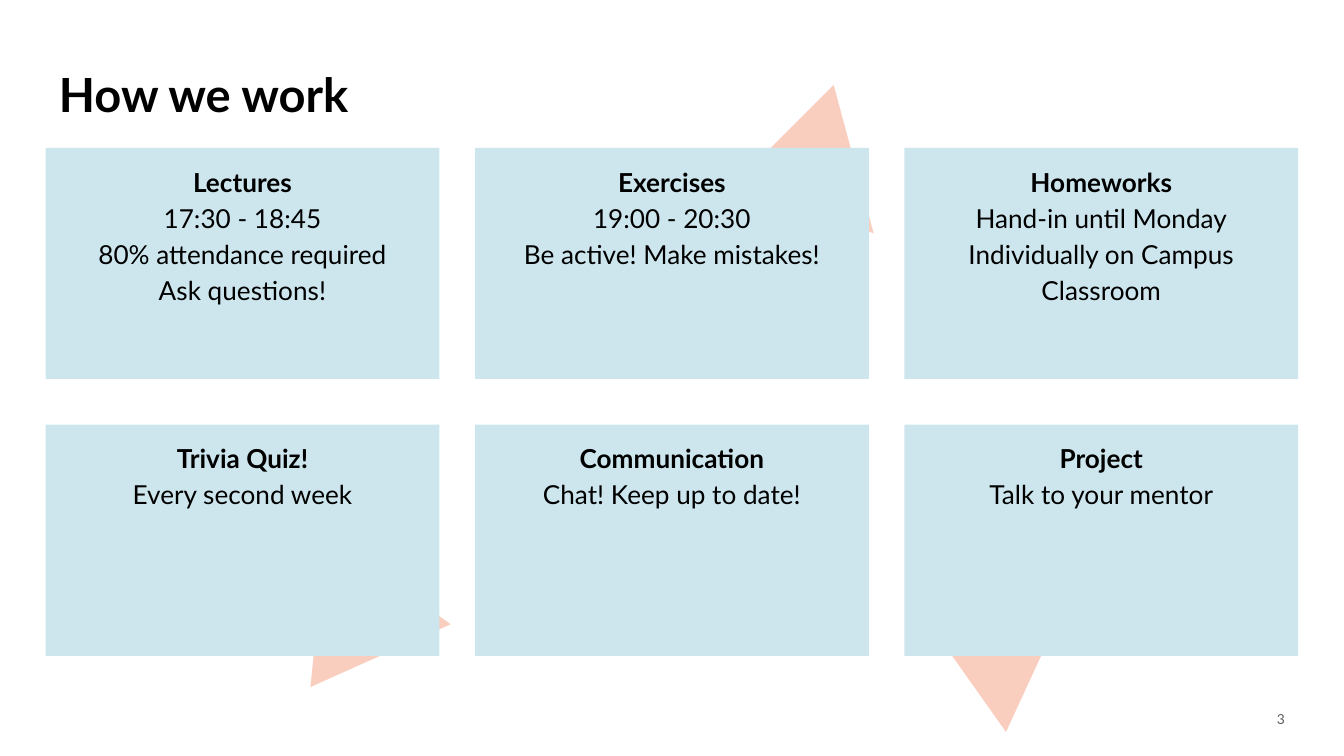
from dataclasses import dataclass

from pptx import Presentation
from pptx.dml.color import RGBColor
from pptx.enum.shapes import MSO_SHAPE
from pptx.enum.text import MSO_ANCHOR, PP_ALIGN
from pptx.util import Inches, Pt


@dataclass(frozen=True)
class Theme:
    font: str = "Lato"
    ink: str = "000000"
    grey: str = "5D5D5D"
    card: str = "CDE6EE"
    peach: str = "F9CEBE"
    title: float = 25.2
    body: float = 14
    page: float = 7.4


theme = Theme()
deck = Presentation()
deck.slide_width = Inches(10)
deck.slide_height = Inches(10 * 9 / 16)
slide = deck.slides.add_slide(deck.slide_layouts[6])


def add_box(kind, left, top, width, height, fill=None):
    """Add a preset shape without line or shadow, filled if a colour is given."""
    box = slide.shapes.add_shape(
        kind, Inches(left), Inches(top), Inches(width), Inches(height))
    box.shadow.inherit = False
    box.line.fill.background()
    if fill:
        box.fill.solid()
        box.fill.fore_color.rgb = RGBColor.from_string(fill)
    else:
        box.fill.background()
    return box


def write(box, lines, size, color, align, anchor, spacing, bold=True):
    """Fill a shape with paragraphs; bold applies to the first line only."""
    frame = box.text_frame
    frame.word_wrap = True
    frame.vertical_anchor = anchor
    frame.margin_left = frame.margin_right = Inches(0.1)
    frame.margin_top = frame.margin_bottom = Inches(0.1)
    for i, line in enumerate(lines):
        para = frame.paragraphs[0] if i == 0 else frame.add_paragraph()
        para.alignment = align
        para.line_spacing = spacing
        run = para.add_run()
        run.text = line
        run.font.name = theme.font
        run.font.size = Pt(size)
        run.font.bold = bold and i == 0
        run.font.color.rgb = RGBColor.from_string(color)


# Triangles behind the cards
for left, top, turn in [(2.29, 4.1, 95.8), (6.99, 4.2, 54.7), (5.58, 0.89, 135)]:
    wedge = add_box(MSO_SHAPE.ISOSCELES_TRIANGLE, left, top, 1.14, 0.99, theme.peach)
    wedge.rotation = turn

# Title and page number
title = add_box(MSO_SHAPE.RECTANGLE, 0.34, 0.38, 8.91, 0.63)
write(title, ["How we work"], theme.title, theme.ink,
      PP_ALIGN.LEFT, MSO_ANCHOR.MIDDLE, 1.0)
page = add_box(MSO_SHAPE.RECTANGLE, 9.26, 5.21, 0.4, 0.3)
write(page, ["3"], theme.page, theme.grey,
      PP_ALIGN.RIGHT, MSO_ANCHOR.MIDDLE, 0.8, bold=False)

# Cards, three to a row, spread evenly between the outer columns
cards = [
    ["Lectures", "17:30 - 18:45", "80% attendance required", "Ask questions!"],
    ["Exercises", "19:00 - 20:30", "Be active! Make mistakes!"],
    ["Homeworks", "Hand-in until Monday", "Individually on Campus Classroom"],
    ["Trivia Quiz!", "Every second week"],
    ["Communication", "Chat! Keep up to date!"],
    ["Project", "Talk to your mentor"],
]
first, last = 0.34, 6.73
step = (last - first) / 2
for i, lines in enumerate(cards):
    row, col = divmod(i, 3)
    card = add_box(MSO_SHAPE.RECTANGLE, first + col * step, 1.1 + row * 2.06,
                   2.93, 1.72, theme.card)
    write(card, lines, theme.body, theme.ink,
          PP_ALIGN.CENTER, MSO_ANCHOR.TOP, 1.15)

deck.save("out.pptx")
